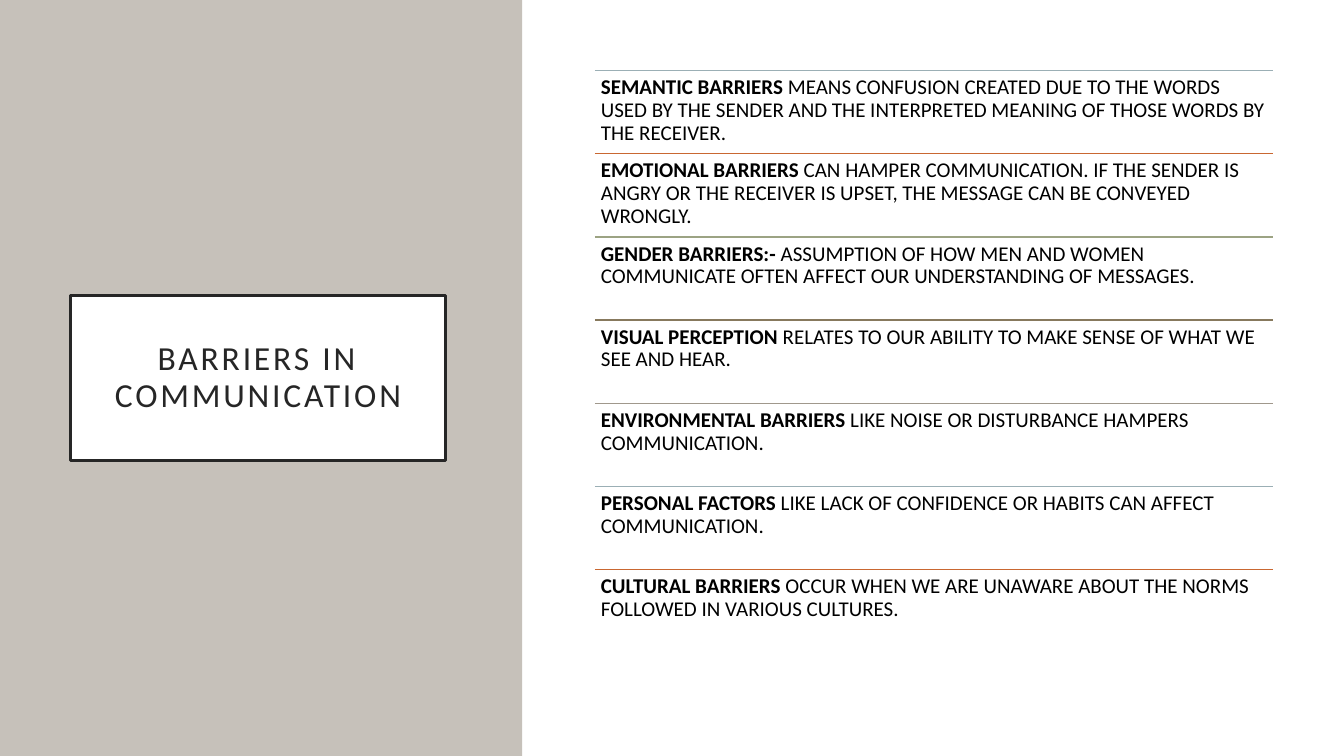
from dataclasses import dataclass

from lxml import etree
from pptx import Presentation
from pptx.dml.color import RGBColor
from pptx.enum.shapes import MSO_CONNECTOR, MSO_SHAPE
from pptx.enum.text import MSO_ANCHOR, MSO_AUTO_SIZE, PP_ALIGN
from pptx.oxml.ns import qn
from pptx.util import Inches, Pt

STRAIGHT = MSO_CONNECTOR.STRAIGHT
RECTANGLE = MSO_SHAPE.RECTANGLE
TOP, MIDDLE = MSO_ANCHOR.TOP, MSO_ANCHOR.MIDDLE
NO_AUTOFIT = MSO_AUTO_SIZE.NONE
LEFT, CENTER = PP_ALIGN.LEFT, PP_ALIGN.CENTER

TITLE = "BARRIERS IN COMMUNICATION"
BARRIERS = [
    ("SEMANTIC BARRIERS", " MEANS CONFUSION CREATED DUE TO THE WORDS USED BY THE SENDER "
     "AND THE INTERPRETED MEANING OF THOSE WORDS BY THE RECEIVER."),
    ("EMOTIONAL BARRIERS", " CAN HAMPER COMMUNICATION. IF THE SENDER IS ANGRY OR THE "
     "RECEIVER IS UPSET, THE MESSAGE CAN BE CONVEYED WRONGLY."),
    ("GENDER BARRIERS:-", " ASSUMPTION OF HOW MEN AND WOMEN COMMUNICATE OFTEN AFFECT "
     "OUR UNDERSTANDING OF MESSAGES."),
    ("VISUAL PERCEPTION", " RELATES TO OUR ABILITY TO MAKE SENSE OF WHAT WE SEE AND HEAR."),
    ("ENVIRONMENTAL BARRIERS", " LIKE NOISE OR DISTURBANCE HAMPERS COMMUNICATION."),
    ("PERSONAL FACTORS", " LIKE LACK OF CONFIDENCE OR HABITS CAN AFFECT COMMUNICATION."),
    ("CULTURAL BARRIERS", " OCCUR WHEN WE ARE UNAWARE ABOUT THE NORMS FOLLOWED IN "
     "VARIOUS CULTURES."),
]


@dataclass(frozen=True)
class Theme:
    font: str = "Calibri"
    title_size: int = 24
    body_size: int = 15
    title_spacing: int = 200
    line_spacing: float = 0.9
    frame_width: float = 2.5
    rule_width: float = 1
    panel: str = "C6C1BA"
    white: str = "FFFFFF"
    ink: str = "262626"
    text: str = "000000"
    rules: tuple = ("9BAFB5", "C96731", "9CA383", "87795D", "A0988C")


THEME = Theme()
SLIDE_WIDTH, SLIDE_HEIGHT = 13.33, 7.5
SIDE_WIDTH, CONTENT_LEFT = 5.18, 5.2
LIST_LEFT, LIST_TOP, LIST_WIDTH = 5.9, 0.7, 6.73
ROW_HEIGHT = 0.825


def color(value):
    return RGBColor.from_string(value)


def add_panel(slide, left, width, fill):
    panel = slide.shapes.add_shape(
        RECTANGLE, Inches(left), 0, Inches(width), Inches(SLIDE_HEIGHT))
    panel.shadow.inherit = False
    panel.fill.solid()
    panel.fill.fore_color.rgb = color(fill)
    panel.line.fill.background()
    return panel


def set_frame(frame, inset, anchor):
    frame.word_wrap = True
    frame.auto_size = NO_AUTOFIT
    frame.vertical_anchor = anchor
    frame.margin_left = frame.margin_right = Inches(inset)
    frame.margin_top = frame.margin_bottom = Inches(inset)


def format_paragraph(paragraph, align, size, ink):
    paragraph.alignment = align
    paragraph.line_spacing = THEME.line_spacing
    for run in paragraph.runs:
        run.font.name = THEME.font
        run.font.size = Pt(size)
        run.font.color.rgb = color(ink)
        run.font.bold = False


def place_title(title):
    title.left, title.top = Inches(0.7), Inches(2.93)
    title.width, title.height = Inches(3.72), Inches(1.64)
    title.fill.solid()
    title.fill.fore_color.rgb = color(THEME.white)
    title.line.color.rgb = color(THEME.ink)
    title.line.width = Pt(THEME.frame_width)
    title.text_frame.text = TITLE
    set_frame(title.text_frame, 0.2, MIDDLE)
    heading = title.text_frame.paragraphs[0]
    format_paragraph(heading, CENTER, THEME.title_size, THEME.ink)
    heading.runs[0].font._element.set("spc", str(THEME.title_spacing))


def add_rule(slide, top, ink):
    rule = slide.shapes.add_connector(
        STRAIGHT, Inches(LIST_LEFT), Inches(top),
        Inches(LIST_LEFT + LIST_WIDTH), Inches(top))
    rule.line.color.rgb = color(ink)
    rule.line.width = Pt(THEME.rule_width)
    etree.SubElement(rule._element.spPr, qn("a:effectLst"))


def add_barrier(slide, top, term, meaning):
    barrier = slide.shapes.add_textbox(
        Inches(LIST_LEFT), Inches(top), Inches(LIST_WIDTH), Inches(ROW_HEIGHT))
    set_frame(barrier.text_frame, 0.06, TOP)
    sentence = barrier.text_frame.paragraphs[0]
    sentence.text = term
    sentence.add_run().text = meaning
    format_paragraph(sentence, LEFT, THEME.body_size, THEME.text)
    sentence.runs[0].font.bold = True


def main():
    deck = Presentation()
    deck.slide_width, deck.slide_height = Inches(SLIDE_WIDTH), Inches(SLIDE_HEIGHT)
    slide = deck.slides.add_slide(deck.slide_layouts[5])
    title = slide.shapes.title
    place_title(title)
    side = add_panel(slide, 0, SIDE_WIDTH, THEME.panel)
    title._element.addprevious(side._element)
    add_panel(slide, CONTENT_LEFT, SLIDE_WIDTH - CONTENT_LEFT, THEME.white)
    for row, (term, meaning) in enumerate(BARRIERS):
        top = LIST_TOP + row * ROW_HEIGHT
        add_rule(slide, top, THEME.rules[row % len(THEME.rules)])
        add_barrier(slide, top, term, meaning)
    deck.save("out.pptx")


if __name__ == "__main__":
    main()
